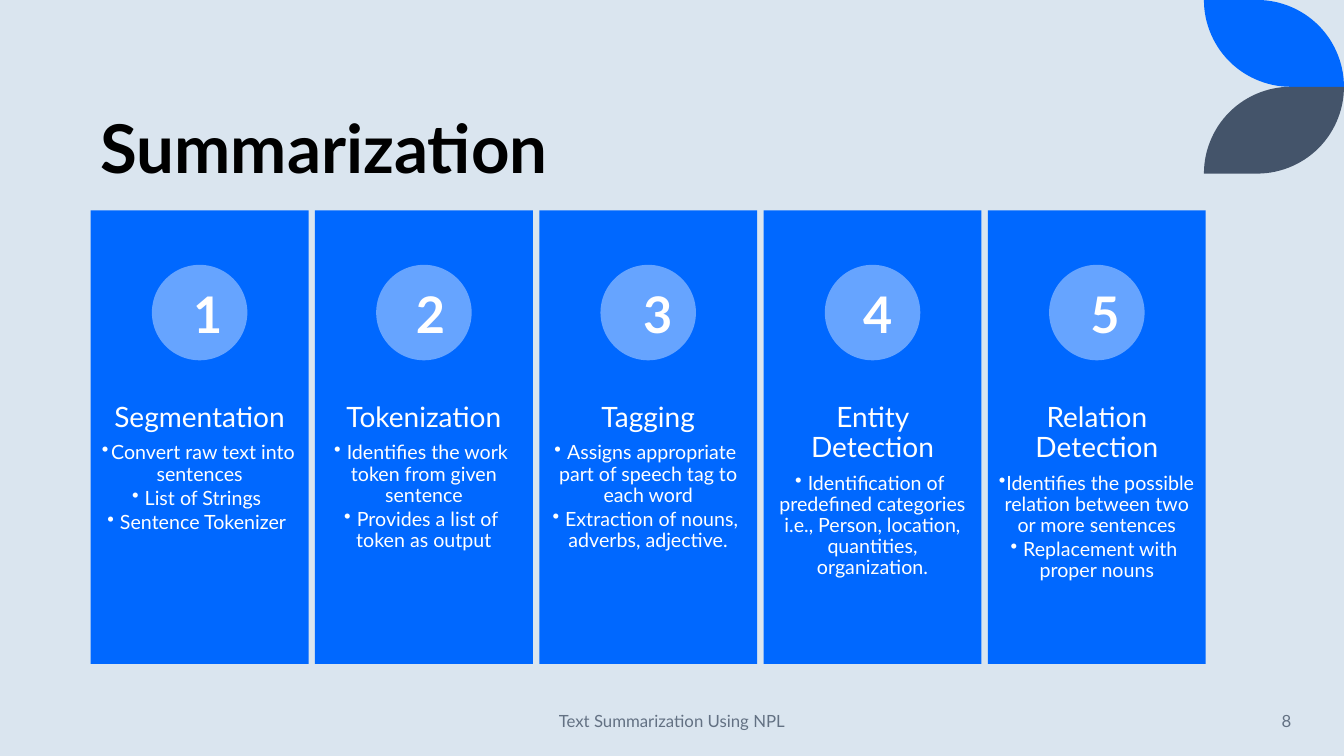
import math
from dataclasses import dataclass

from lxml import etree
from pptx import Presentation
from pptx.dml.color import RGBColor
from pptx.enum import shapes, text
from pptx.oxml import ns
from pptx.util import Pt


@dataclass(frozen=True)
class Theme:
    """Colours and type sizes of the deck."""
    font: str = "Lato"
    back: str = "DAE5EF"
    blue: str = "0068FF"
    light: str = "66A4FF"
    slate: str = "44546A"
    black: str = "000000"
    white: str = "FFFFFF"
    grey: str = "637183"
    title: int = 48
    number: int = 36
    heading: int = 20
    body: int = 14
    footer: int = 12


T = Theme()
ALIGN = text.PP_ALIGN
ANCHOR = text.MSO_ANCHOR
STEPS = [
    ("Segmentation", 66, ["Convert raw text into sentences", "List of Strings",
                          "Sentence Tokenizer"]),
    ("Tokenization", 65, ["Identifies the work token from given sentence",
                          "Provides a list of token as output"]),
    ("Tagging", 67, ["Assigns appropriate part of speech tag to each word",
                     "Extraction of nouns, adverbs, adjective."]),
    ("Entity Detection", 64, ["Identification of predefined categories i.e., Person, "
                              "location, quantities, organization."]),
    ("Relation Detection", 66, ["Identifies the possible relation between two or more "
                                "sentences", "Replacement with proper nouns"]),
]


def paint(sp, color):
    """Give a shape a plain fill without line or shadow."""
    sp.shadow.inherit = False
    sp.fill.solid()
    sp.fill.fore_color.rgb = RGBColor.from_string(color)
    sp.line.fill.background()


def add_shape(s, kind, box, color):
    """Draw a preset shape in the given box."""
    paint(s.shapes.add_shape(kind, *map(Pt, box)), color)


def add_text_box(s, box, anchor=ANCHOR.TOP, inset=None, grow=False):
    """Add a wrapping text box and return its text frame."""
    tf = s.shapes.add_textbox(*map(Pt, box)).text_frame
    tf.word_wrap = True
    tf.vertical_anchor = anchor
    if grow:
        tf.auto_size = text.MSO_AUTO_SIZE.SHAPE_TO_FIT_TEXT
    if inset is not None:
        tf.margin_left = tf.margin_right = tf.margin_top = tf.margin_bottom = Pt(inset)
    return tf


def write(tf, words, size, color, bold=False, align=ALIGN.LEFT, spacing=None,
          after=0, bullet=False):
    """Write one formatted paragraph into a text frame."""
    p = tf.add_paragraph() if tf.text else tf.paragraphs[0]
    p.alignment = align
    p.line_spacing = spacing
    p.space_after = Pt(after)
    if bullet:
        p.level = 1
        ppr = p._p.get_or_add_pPr()
        ppr.set("marL", "0")
        ppr.set("indent", str(Pt(-9)))
        etree.SubElement(ppr, ns.qn("a:buChar")).set("char", "•")
    r = p.add_run()
    r.text = words
    r.font.name = T.font
    r.font.size = Pt(size)
    r.font.bold = bold
    r.font.color.rgb = RGBColor.from_string(color)


def add_leaf(s, box, color, flip=False):
    """Draw a leaf bounded by two quarter circles."""
    x, y, w, h = box
    angles = [math.radians(a) for a in range(0, 91, 3)]
    pts = [(0, 0)]
    pts += [(w - h + h * math.sin(a), h - h * math.cos(a)) for a in angles]
    pts += [(h - h * math.sin(a), h * math.cos(a)) for a in angles]
    pts = [(Pt(x + px), Pt(y + (h - py if flip else py))) for px, py in pts]
    fb = s.shapes.build_freeform(*pts[0])
    fb.add_line_segments(pts[1:], close=True)
    paint(fb.convert_to_shape(), color)


def add_corner(s, box):
    """Stack two mirrored leaves in the box."""
    x, y, w, h = box
    add_leaf(s, (x, y, w, h / 2), T.blue)
    add_leaf(s, (x, y + h / 2, w, h / 2), T.slate, flip=True)


def add_title(s, box, words):
    """Write the slide title at the bottom of the box."""
    write(add_text_box(s, box, ANCHOR.BOTTOM), words, T.title, T.black, bold=True,
          spacing=0.9)


def add_card(s, box, number, heading, shift, points):
    """Draw one step card with its numbered disc, heading and bullets."""
    x, y, w, h = box
    disc = 68.2
    add_shape(s, shapes.MSO_SHAPE.RECTANGLE, box, T.blue)
    tf = add_text_box(s, (x, y + 0.4 * h, w, 0.4 * h), inset=7.9)
    write(tf, heading, T.heading, T.white, align=ALIGN.CENTER, spacing=0.9, after=7)
    for point in points:
        write(tf, point, T.body, T.white, align=ALIGN.CENTER, spacing=0.9, after=2.1,
              bullet=True)
    add_shape(s, shapes.MSO_SHAPE.OVAL, (x + (w - disc) / 2, y + 0.12 * h, disc, disc),
              T.light)
    tf = add_text_box(s, (x + shift, y + 48.3, 27.4, 51), grow=True)
    write(tf, str(number), T.number, T.white, bold=True, align=ALIGN.CENTER)


def add_cards(s, box, gap):
    """Spread the step cards evenly across the box."""
    x, y, w, h = box
    width = (w - gap * (len(STEPS) - 1)) / len(STEPS)
    for i, step in enumerate(STEPS):
        add_card(s, (x + i * (width + gap), y, width, h), i + 1, *step)


def add_footer(s, box, words, page):
    """Write the footer at the left and the page number at the right of the box."""
    x, y, w, h = box
    write(add_text_box(s, (x, y, 324, h), ANCHOR.MIDDLE), words, T.footer, T.grey,
          align=ALIGN.CENTER, after=6)
    write(add_text_box(s, (x + w - 130, y, 130, h), ANCHOR.MIDDLE), page, T.footer,
          T.grey, align=ALIGN.RIGHT)


def main():
    """Build the summarization slide and save it."""
    prs = Presentation()
    prs.slide_width, prs.slide_height = Pt(960), Pt(540)
    s = prs.slides.add_slide(prs.slide_layouts[6])
    s.background.fill.solid()
    s.background.fill.fore_color.rgb = RGBColor.from_string(T.back)
    add_corner(s, (860, 0, 100, 124))
    add_title(s, (64.8, 33, 770, 104.5), "Summarization")
    add_cards(s, (64.8, 150.3, 796.5, 324), 4.6)
    add_footer(s, (318, 500.4, 611.5, 28.8), "Text Summarization Using NPL", "8")
    prs.save("out.pptx")


if __name__ == "__main__":
    main()
